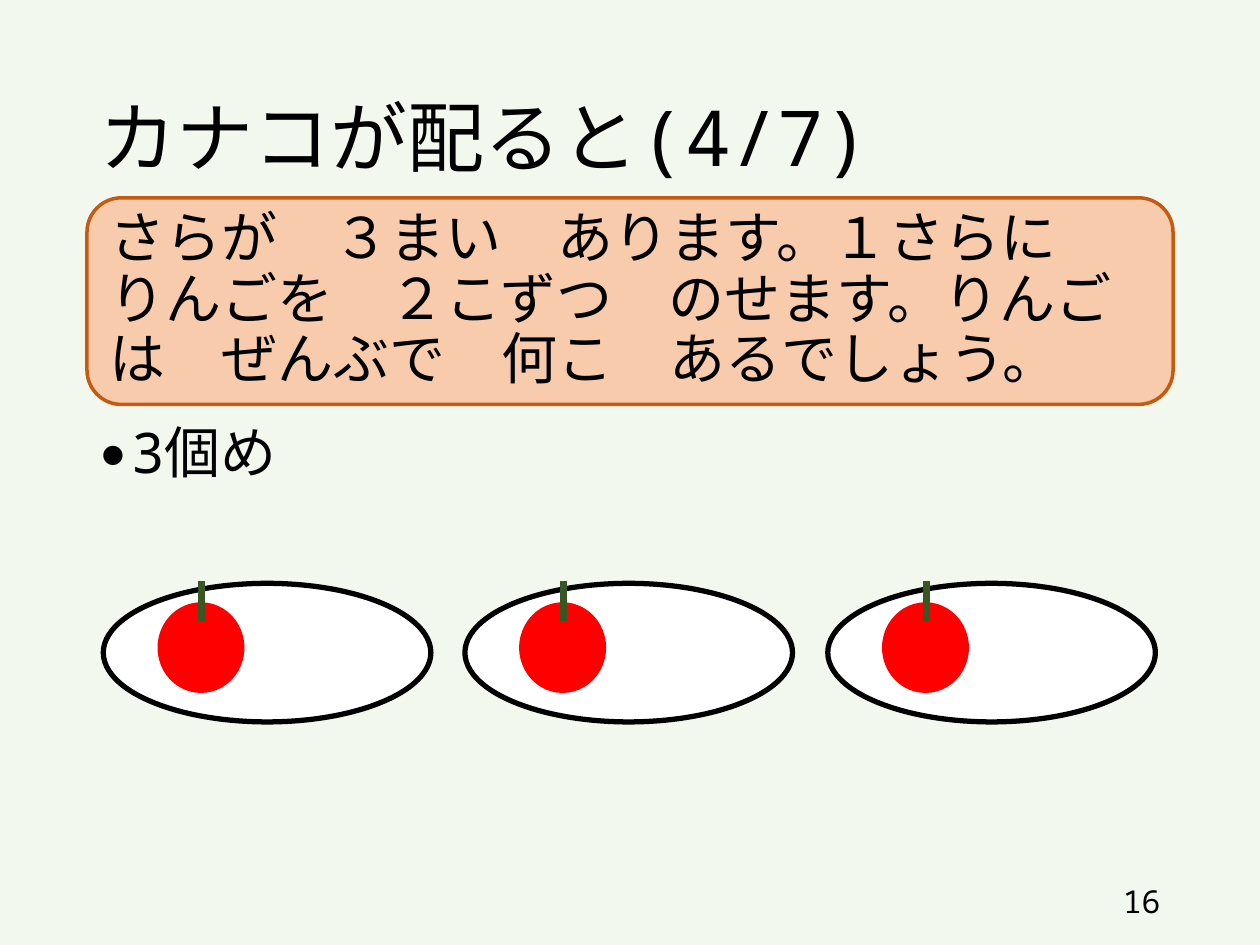
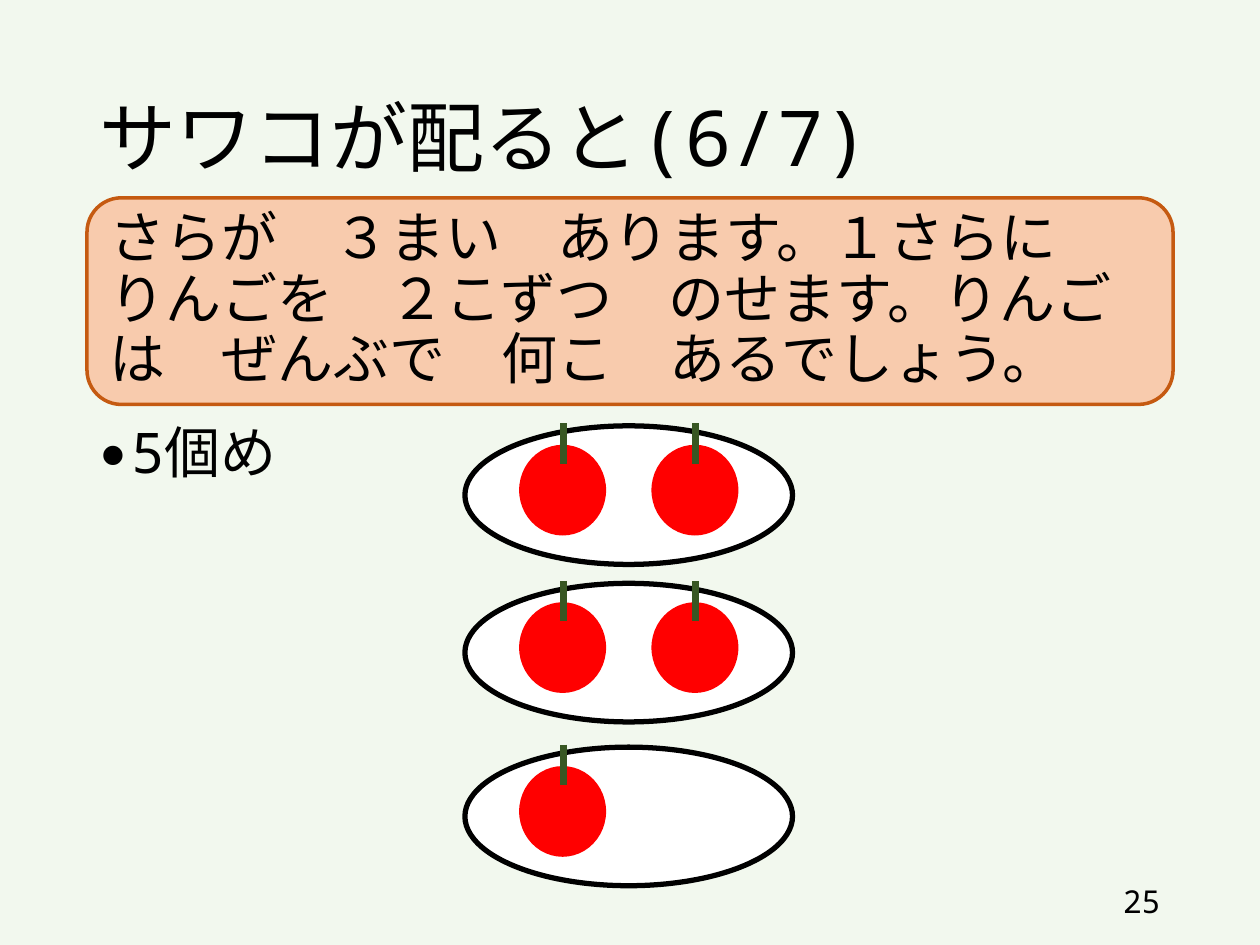
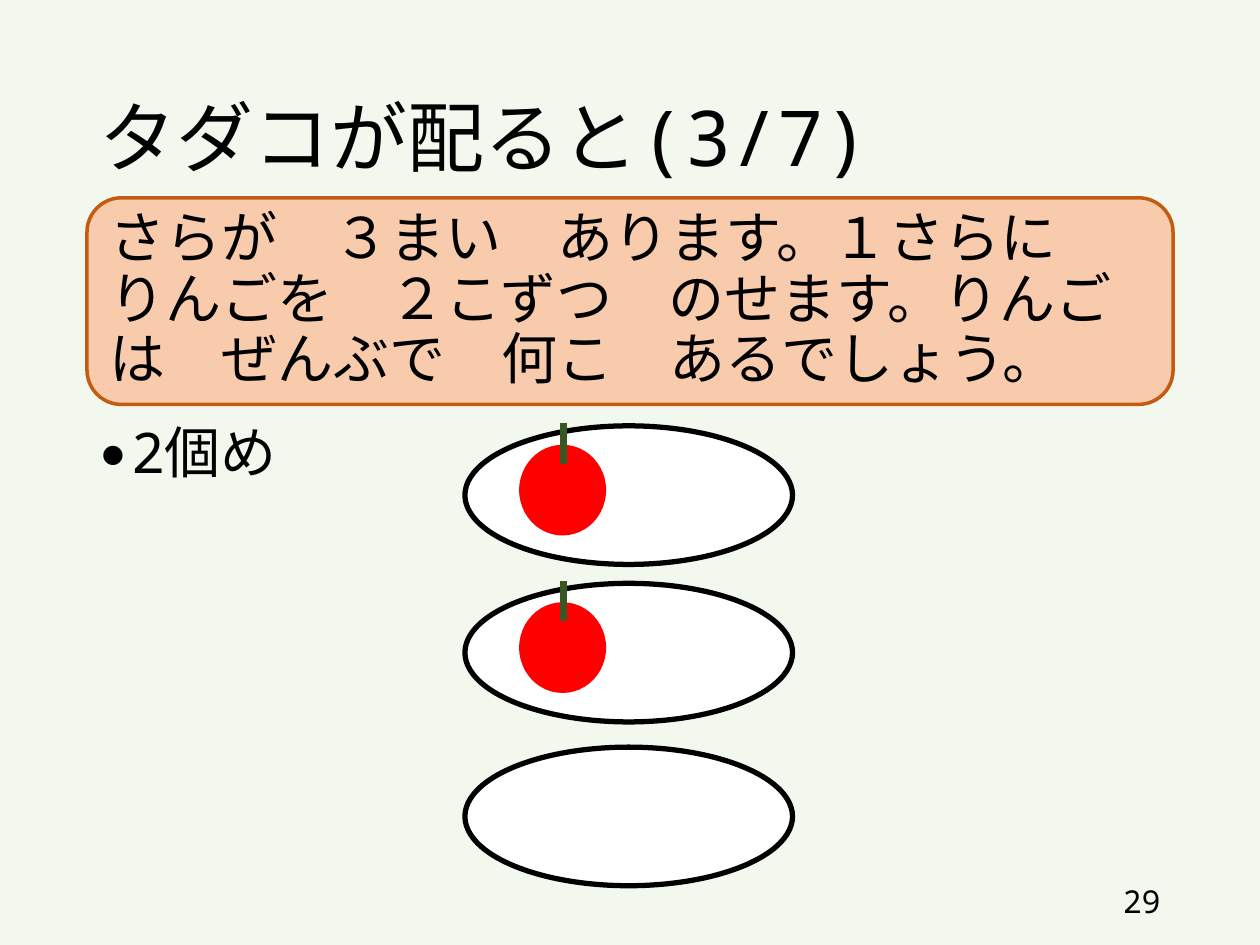
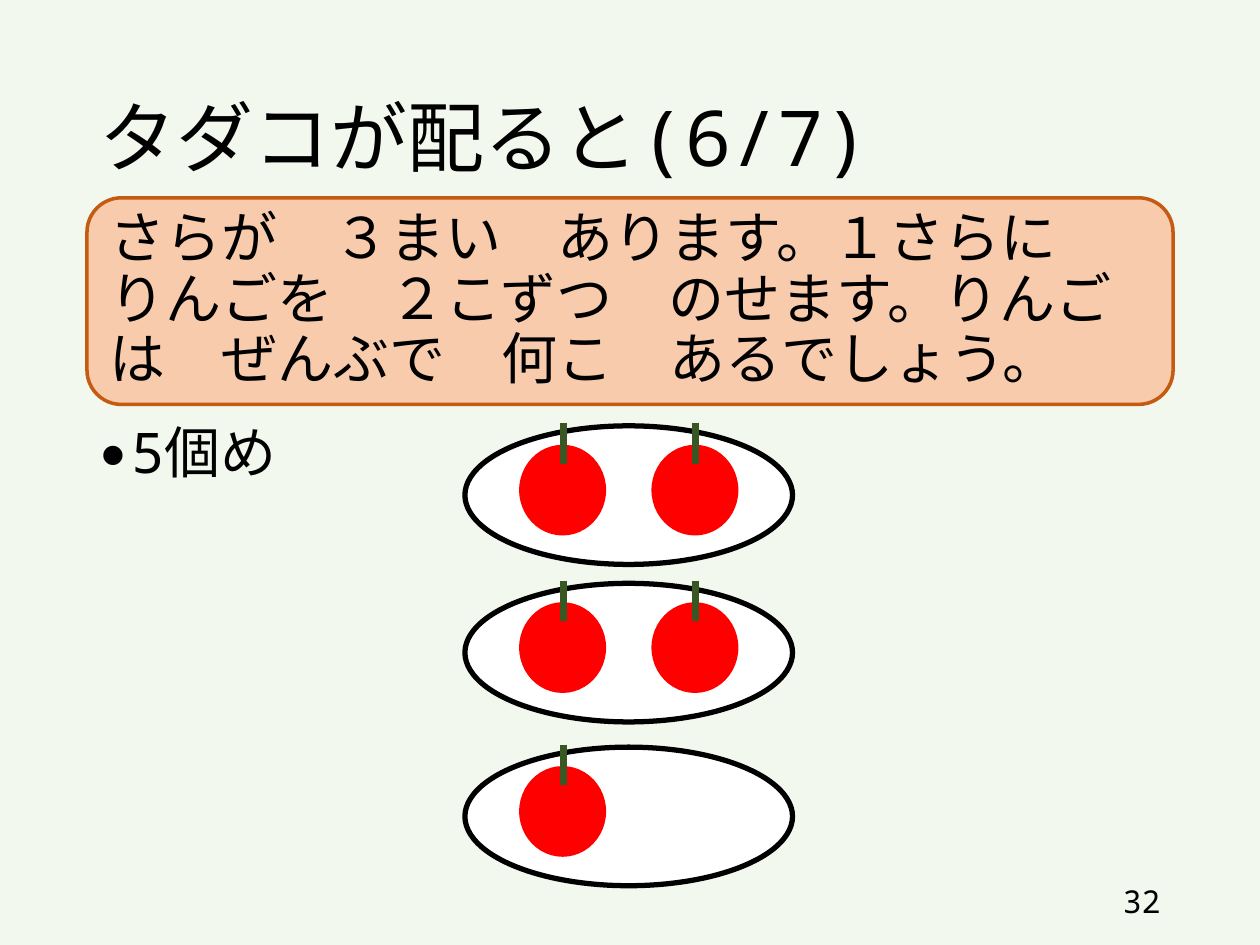
"""Build four slides that show how apples are dealt out onto three plates."""
from lxml.etree import SubElement
from pptx import Presentation
from pptx.dml.color import RGBColor
from pptx.enum.shapes import MSO_CONNECTOR, MSO_SHAPE
from pptx.enum.text import MSO_ANCHOR as Anchor, MSO_AUTO_SIZE as AutoSize, PP_ALIGN as Align
from pptx.oxml.ns import qn
from pptx.util import Inches, Pt

PROBLEM = "さらが　３まい　あります。１さらに　りんごを　２こずつ　のせます。りんごは　ぜんぶで　何こ　あるでしょう。"
ROW = [(0.82, 4.63), (3.69, 4.63), (6.57, 4.63)]
COLUMN = [(3.69, 3.38), (3.69, 4.63), (3.69, 5.93)]
SLIDES = [
    {"title": "カナコが配ると(4/7)", "step": "3個め", "number": 16, "plates": ROW, "apples": (1, 1, 1)},
    {"title": "サワコが配ると(6/7)", "step": "5個め", "number": 25, "plates": COLUMN, "apples": (2, 2, 1)},
    {"title": "タダコが配ると(3/7)", "step": "2個め", "number": 29, "plates": COLUMN, "apples": (1, 1, 0)},
    {"title": "タダコが配ると(6/7)", "step": "5個め", "number": 32, "plates": COLUMN, "apples": (2, 2, 1)},
]

FONT = "Noto Sans Mono"
COLORS = {
    "background": "F2F8EE", "text": "000000", "problem": "F8CBAD", "problem_line": "C55A11",
    "plate": "FFFFFF", "plate_line": "000000", "apple": "FF0000", "stem": "385723",
}
BOXES = {
    "title": (0.69, 0.4, 8.62, 1.45),
    "body": (0.69, 3.32, 8.62, 3.43),
    "problem": (0.69, 1.57, 8.62, 1.64),
    "number": (7.06, 6.95, 2.25, 0.4),
}
PLATE_SIZE = (2.6, 1.1)
APPLE_SIZE = (0.69, 0.72)
APPLE_OFFSET = (0.43, 0.15)
APPLE_PITCH = 1.05
STEM_X, STEM_TOP, STEM_BOTTOM = 0.35, -0.17, 0.15


def color(name):
    return RGBColor.from_string(COLORS[name])


def place(shape, box):
    for name, value in zip(("left", "top", "width", "height"), box):
        setattr(shape, name, Inches(value))


def write(shape, text, size, anchor=Anchor.MIDDLE, align=Align.LEFT, spacing=0.9):
    frame = shape.text_frame
    frame.text = text
    frame_format = {"word_wrap": True, "auto_size": AutoSize.NONE, "vertical_anchor": anchor}
    for name, value in frame_format.items():
        setattr(frame, name, value)
    paragraph = frame.paragraphs[0]
    paragraph_format = {"alignment": align, "line_spacing": spacing, "space_before": Pt(0)}
    for name, value in paragraph_format.items():
        setattr(paragraph, name, value)
    font = paragraph.runs[0].font
    for name, value in {"name": FONT, "size": Pt(size)}.items():
        setattr(font, name, value)
    font.color.rgb = color("text")
    latin = font._element.find(qn("a:latin"))
    east_asian = latin.makeelement(qn("a:ea"), {"typeface": FONT})
    latin.addnext(east_asian)
    return paragraph


def add_bullet(paragraph):
    properties = paragraph._p.get_or_add_pPr()
    properties.set("marL", str(Inches(0.25)))
    properties.set("indent", str(-Inches(0.25)))
    SubElement(properties, qn("a:buSzPct"), val="80000")
    SubElement(properties, qn("a:buFont"), typeface=FONT)
    SubElement(properties, qn("a:buChar"), char="●")


def add_filled(shapes, kind, box, fill, line=None, line_width=0):
    shape = shapes.add_shape(kind, *map(Inches, box))
    shape.shadow.inherit = False
    shape.fill.solid()
    shape.fill.fore_color.rgb = color(fill)
    if line:
        shape.line.color.rgb = color(line)
        shape.line.width = Pt(line_width)
    else:
        shape.line.fill.background()
    return shape


def add_apple(slide, left, top):
    shapes = slide.shapes.add_group_shape().shapes
    add_filled(shapes, MSO_SHAPE.OVAL, (left, top, *APPLE_SIZE), "apple")
    ends = (left + STEM_X, top + STEM_TOP, left + STEM_X, top + STEM_BOTTOM)
    stem = shapes.add_connector(MSO_CONNECTOR.STRAIGHT, *map(Inches, ends))
    stem.line.color.rgb = color("stem")
    stem.line.width = Pt(4)
    SubElement(stem._element.spPr, qn("a:effectLst"))


def add_plate(slide, left, top, apple_count):
    add_filled(slide.shapes, MSO_SHAPE.OVAL, (left, top, *PLATE_SIZE), "plate", "plate_line", 3)
    for index in range(apple_count):
        add_apple(slide, left + APPLE_OFFSET[0] + index * APPLE_PITCH, top + APPLE_OFFSET[1])


def add_slide(presentation, content):
    slide = presentation.slides.add_slide(presentation.slide_layouts[1])
    title, body = slide.shapes.title, slide.placeholders[1]
    place(title, BOXES["title"])
    write(title, content["title"], 44)
    place(body, BOXES["body"])
    add_bullet(write(body, content["step"], 32, Anchor.TOP))

    number = slide.shapes.add_textbox(*map(Inches, BOXES["number"]))
    write(number, str(content["number"]), 18, align=Align.RIGHT, spacing=1.0)
    problem = add_filled(slide.shapes, MSO_SHAPE.ROUNDED_RECTANGLE, BOXES["problem"],
                         "problem", "problem_line", 2)
    write(problem, PROBLEM, 32)
    for (left, top), apple_count in zip(content["plates"], content["apples"]):
        add_plate(slide, left, top, apple_count)


def main():
    presentation = Presentation()
    presentation.slide_width, presentation.slide_height = Inches(10), Inches(7.5)
    background = presentation.slide_master.background.fill
    background.solid()
    background.fore_color.rgb = color("background")
    for content in SLIDES:
        add_slide(presentation, content)
    presentation.save("out.pptx")


if __name__ == "__main__":
    main()
